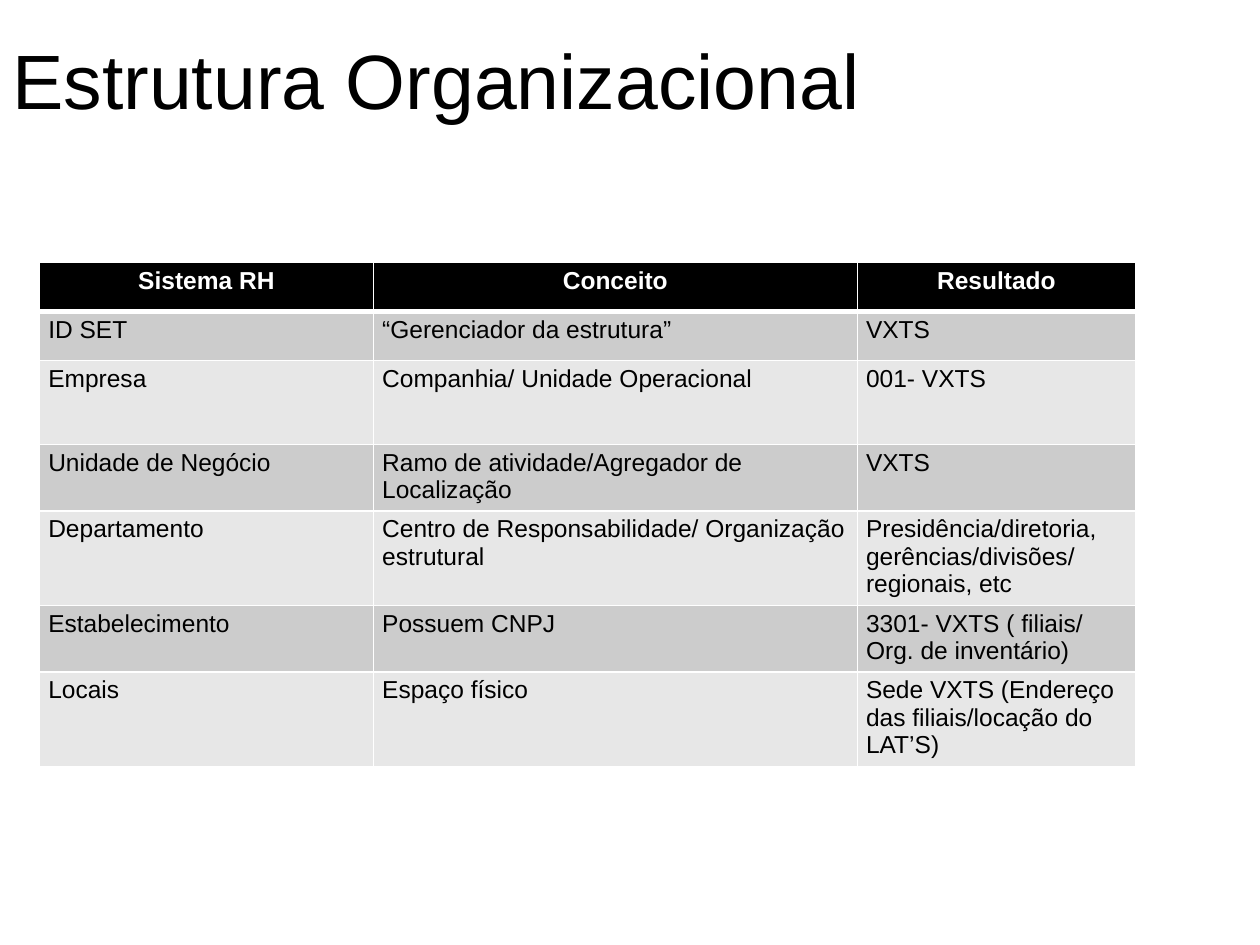
import pptx
import pptx.util
import pptx.dml.color
import pptx.enum.text
import pptx.oxml
import pptx.oxml.ns

Pt = pptx.util.Pt
ALIGN = pptx.enum.text.PP_ALIGN

TITLE = "Estrutura Organizacional"
ROWS = [
    ("Sistema RH", "Conceito", "Resultado"),
    ("ID SET", "“Gerenciador da estrutura”", "VXTS"),
    ("Empresa", "Companhia/ Unidade Operacional", "001- VXTS"),
    ("Unidade de Negócio", "Ramo de atividade/Agregador de Localização", "VXTS"),
    ("Departamento", "Centro de Responsabilidade/ Organização estrutural",
     "Presidência/diretoria, gerências/divisões/ regionais, etc"),
    ("Estabelecimento", "Possuem CNPJ", "3301- VXTS ( filiais/ Org. de inventário)"),
    ("Locais", "Espaço físico", "Sede VXTS (Endereço das filiais/locação do LAT’S)"),
]
WIDTHS = [190.8, 276.5, 159.1]
HEIGHTS = [28, 28, 48, 38, 54, 38, 54]
COLORS = {"head": "000000", "odd": "CCCCCC", "even": "E7E7E7",
          "text": "000000", "light": "FFFFFF"}


def color(name):
    return pptx.dml.color.RGBColor.from_string(COLORS[name])


def write(para, text, size, name, bold=False):
    run = para.add_run()
    run.text = text
    run.font.name = "Arial"
    run.font.size = Pt(size)
    run.font.bold = bold
    run.font.color.rgb = color(name)


def edge(cell, side, width):
    line = pptx.oxml.parse_xml(
        f'<a:{side} {pptx.oxml.ns.nsdecls("a")} w="{Pt(width)}"><a:solidFill>'
        f'<a:srgbClr val="{COLORS["light"]}"/></a:solidFill></a:{side}>')
    cell._tc.get_or_add_tcPr().append(line)


deck = pptx.Presentation()
deck.slide_width, deck.slide_height = Pt(720), Pt(540)
slide = deck.slides.add_slide(deck.slide_layouts[6])

# Table
table = slide.shapes.add_table(
    len(ROWS), len(WIDTHS), Pt(22.6), Pt(150),
    Pt(sum(WIDTHS)), Pt(sum(HEIGHTS))).table
for col, width in zip(table.columns, WIDTHS):
    col.width = Pt(width)
for row, height in zip(table.rows, HEIGHTS):
    row.height = Pt(height)

# Cells: borders go in before the fill, as the file format orders them
for r, texts in enumerate(ROWS):
    head = r == 0
    fill = "head" if head else "odd" if r % 2 else "even"
    for c, text in enumerate(texts):
        cell = table.cell(r, c)
        cell.margin_left = cell.margin_right = Pt(5)
        cell.margin_top = cell.margin_bottom = Pt(2.6)
        for side in ("lnL", "lnR", "lnT", "lnB"):
            thick = (r, side) in ((0, "lnB"), (1, "lnT"))
            edge(cell, side, 3 if thick else 1)
        cell.fill.solid()
        cell.fill.fore_color.rgb = color(fill)
        para = cell.text_frame.paragraphs[0]
        para.alignment = ALIGN.CENTER if head else ALIGN.LEFT
        write(para, text, 14, "light" if head else "text", head)

# Title
frame = slide.shapes.add_textbox(Pt(0), Pt(0), Pt(648), Pt(90)).text_frame
frame.word_wrap = True
frame.vertical_anchor = pptx.enum.text.MSO_ANCHOR.MIDDLE
write(frame.paragraphs[0], TITLE, 44, "text")

deck.save("out.pptx")
